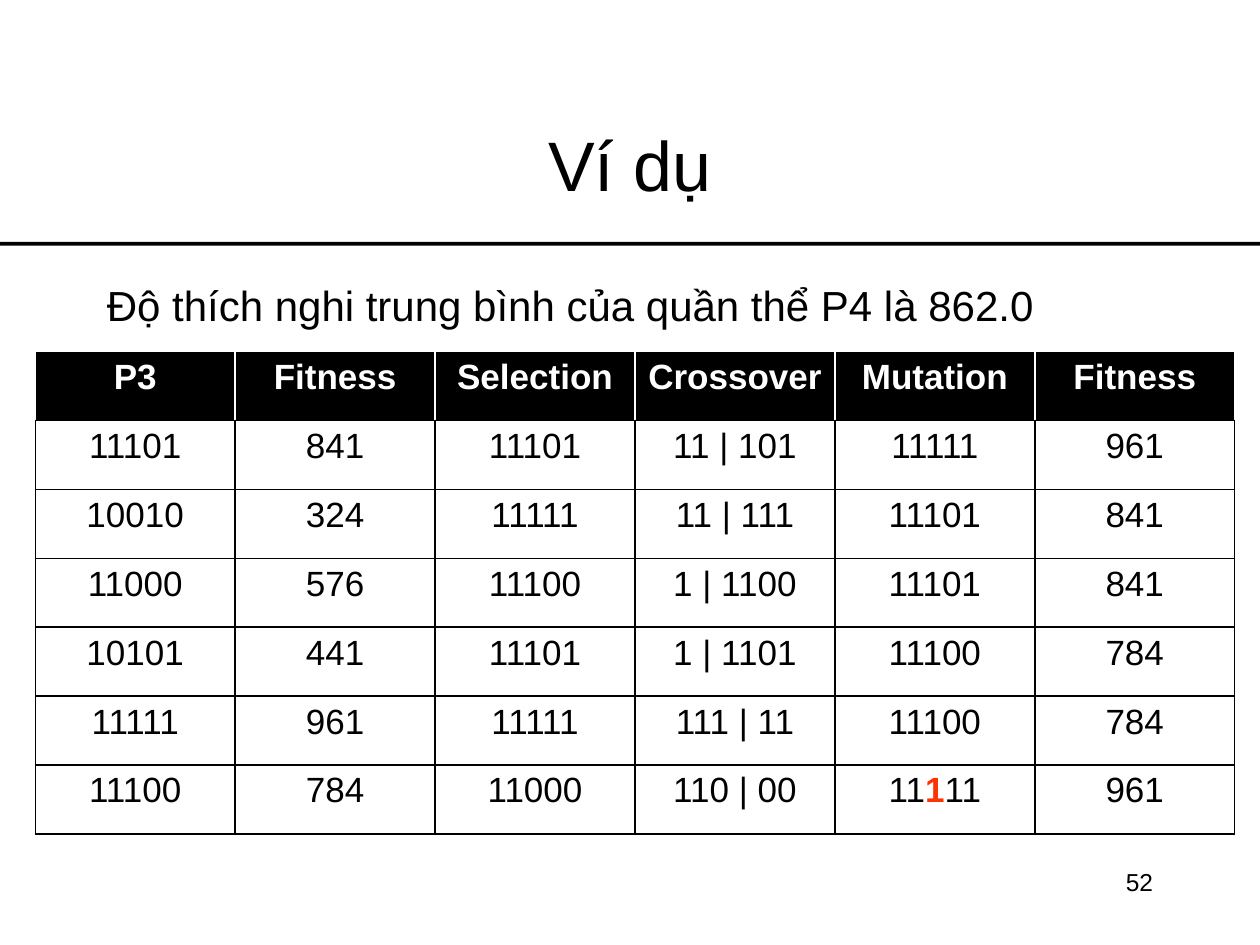
from dataclasses import dataclass

import pptx
import pptx.dml.color
import pptx.enum.shapes
import pptx.enum.text
import pptx.oxml
import pptx.oxml.ns
import pptx.util

Align = pptx.enum.text.PP_ALIGN
Anchor = pptx.enum.text.MSO_ANCHOR
RGBColor = pptx.dml.color.RGBColor

BLACK = RGBColor(0x00, 0x00, 0x00)
WHITE = RGBColor(0xFF, 0xFF, 0xFF)
RED = RGBColor(0xFF, 0x33, 0x00)

SLIDE_W, SLIDE_H = pptx.util.Inches(10), pptx.util.Inches(7.5)
FONT = "Arial"
BORDER_PT = 1
MUTATED_CELL = (6, 4)
MUTATED_BIT = 2

ROWS = [
    ["P3", "Fitness", "Selection", "Crossover", "Mutation", "Fitness"],
    ["11101", "841", "11101", "11 | 101", "11111", "961"],
    ["10010", "324", "11111", "11 | 111", "11101", "841"],
    ["11000", "576", "11100", "1 | 1100", "11101", "841"],
    ["10101", "441", "11101", "1 | 1101", "11100", "784"],
    ["11111", "961", "11111", "111 | 11", "11100", "784"],
    ["11100", "784", "11000", "110 | 00", "11111", "961"],
]


@dataclass(frozen=True)
class Box:
    """Left, top, width and height in inches."""
    left: float
    top: float
    width: float
    height: float

    def emu(self) -> list[int]:
        return [pptx.util.Inches(v) for v in (self.left, self.top, self.width, self.height)]


@dataclass(frozen=True)
class Label:
    text: str
    box: Box
    size: int
    align: Align
    anchor: Anchor = Anchor.TOP


LABELS = [
    Label("Ví dụ", Box(0.75, 0.67, 8.5, 1.25), 40, Align.CENTER, Anchor.MIDDLE),
    Label("Độ thích nghi trung bình của quần thể P4 là 862.0",
          Box(0.75, 2.17, 8.5, 0.62), 24, Align.LEFT),
    Label("52", Box(7.17, 6.83, 2.08, 0.5), 14, Align.RIGHT),
]
RULE = Box(-0.59, 1.92, 10.59, 0.03)
TABLE = Box(0.28, 2.79, 9.52, 3.83)


def add_run(p, text: str, size: int, color: RGBColor = BLACK, bold: bool = False) -> None:
    r = p.add_run()
    r.text = text
    style = {"name": FONT, "size": pptx.util.Pt(size), "bold": bold}
    for name, value in style.items():
        setattr(r.font, name, value)
    r.font.color.rgb = color


def add_label(s, label: Label) -> None:
    tf = s.shapes.add_textbox(*label.box.emu()).text_frame
    tf.word_wrap = True
    tf.vertical_anchor = label.anchor
    p = tf.paragraphs[0]
    p.alignment = label.align
    add_run(p, label.text, label.size)


def add_rule(s, box: Box) -> None:
    sp = s.shapes.add_shape(pptx.enum.shapes.MSO_SHAPE.PENTAGON, *box.emu())
    sp.rotation = 180
    sp.shadow.inherit = False
    sp.fill.solid()
    sp.fill.fore_color.rgb = BLACK
    sp.line.fill.background()


def set_borders(cell, side_color: RGBColor) -> None:
    """Colour the left, right and top edges; the bottom edge is always black."""
    tc_pr = cell._tc.get_or_add_tcPr()
    colors = {"lnL": side_color, "lnR": side_color, "lnT": side_color, "lnB": BLACK}
    for tag, color in colors.items():
        tc_pr.append(pptx.oxml.parse_xml(
            f'<a:{tag} {pptx.oxml.ns.nsdecls("a")} w="{pptx.util.Pt(BORDER_PT)}">'
            f'<a:solidFill><a:srgbClr val="{color}"/></a:solidFill></a:{tag}>'))


def add_table(s, box: Box, rows: list[list[str]]) -> None:
    table = s.shapes.add_table(len(rows), len(rows[0]), *box.emu()).table
    table.first_row = table.horz_banding = False
    for i, row in enumerate(rows):
        header = i == 0
        for j, text in enumerate(row):
            cell = table.cell(i, j)
            set_borders(cell, WHITE if header else BLACK)
            if header:
                cell.fill.solid()
                cell.fill.fore_color.rgb = BLACK
            else:
                cell.fill.background()
            p = cell.text_frame.paragraphs[0]
            p.alignment = Align.CENTER
            if (i, j) == MUTATED_CELL:
                add_run(p, text[:MUTATED_BIT], 20)
                add_run(p, text[MUTATED_BIT], 20, RED, True)
                add_run(p, text[MUTATED_BIT + 1:], 20)
            else:
                add_run(p, text, 20, WHITE if header else BLACK, header)


def main() -> None:
    prs = pptx.Presentation()
    prs.slide_width, prs.slide_height = SLIDE_W, SLIDE_H
    s = prs.slides.add_slide(prs.slide_layouts[6])
    add_rule(s, RULE)
    for label in LABELS:
        add_label(s, label)
    add_table(s, TABLE, ROWS)
    prs.save("out.pptx")


if __name__ == "__main__":
    main()
